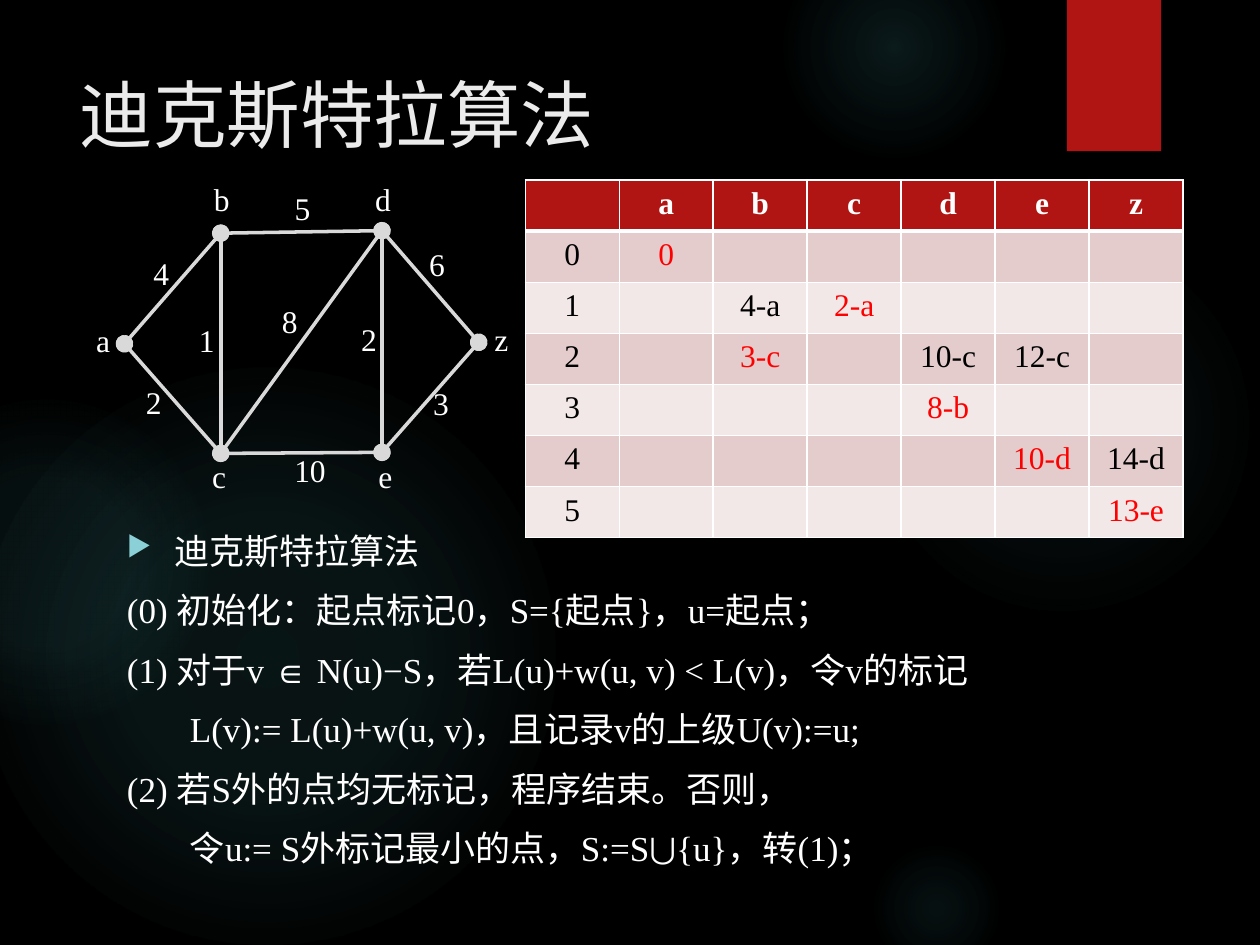
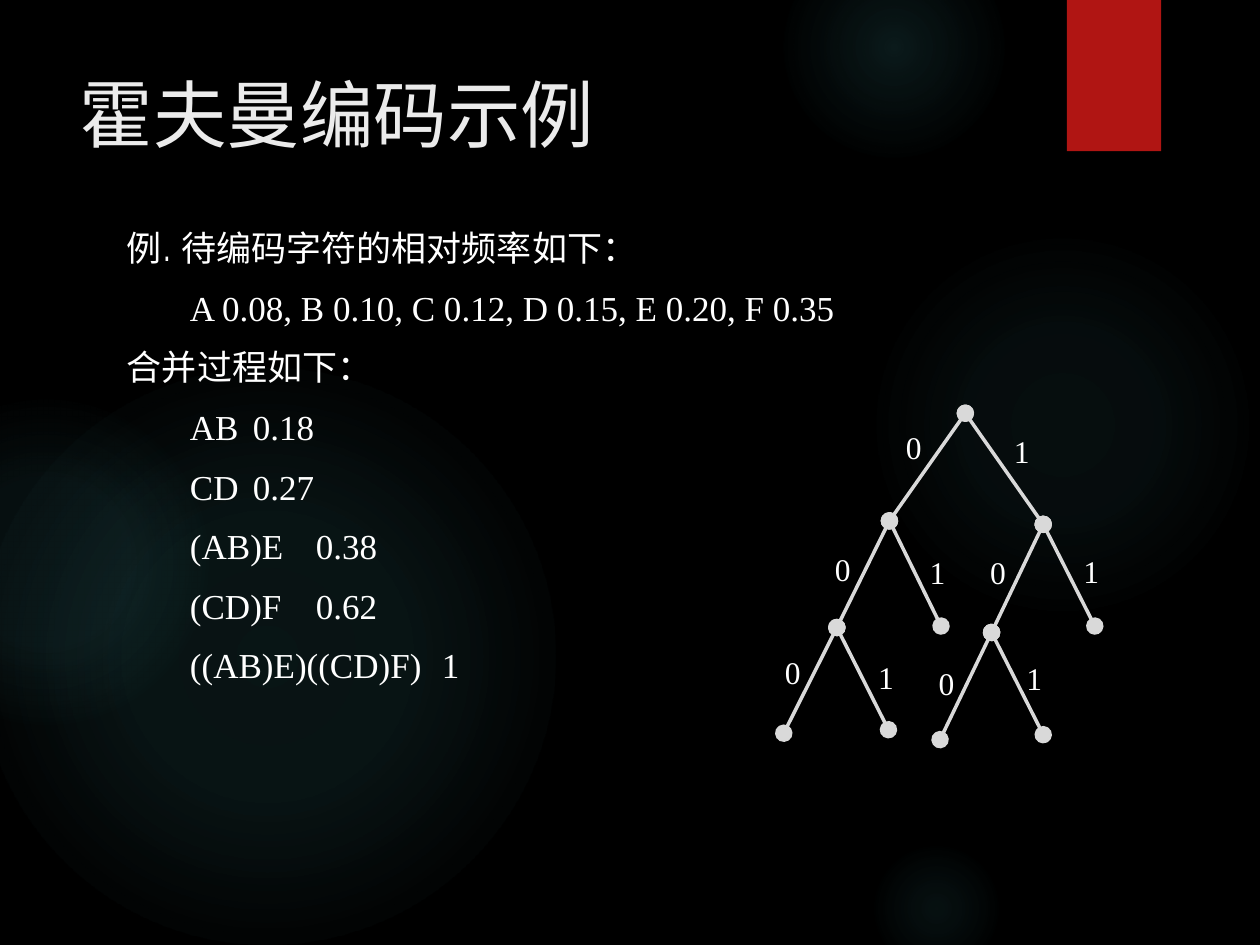
"""Build two slides on shortest paths and Huffman coding."""
from pptx import Presentation
from pptx.dml.color import RGBColor
from pptx.enum.shapes import MSO_CONNECTOR, MSO_SHAPE
from pptx.enum.text import MSO_ANCHOR, MSO_AUTO_SIZE, PP_ALIGN
from pptx.oxml import parse_xml
from pptx.oxml.ns import nsdecls
from pptx.util import Cm, Pt

STRAIGHT = MSO_CONNECTOR.STRAIGHT
OVAL, RECTANGLE = MSO_SHAPE.OVAL, MSO_SHAPE.RECTANGLE
TOP, MIDDLE = MSO_ANCHOR.TOP, MSO_ANCHOR.MIDDLE
NO_AUTOFIT = MSO_AUTO_SIZE.NONE
LEFT, CENTER = PP_ALIGN.LEFT, PP_ALIGN.CENTER
TITLE_ONLY = 5

BLACK = RGBColor(0x00, 0x00, 0x00)
WHITE = RGBColor(0xFF, 0xFF, 0xFF)
TITLE_GRAY = RGBColor(0xEB, 0xEB, 0xEB)
LINE_GRAY = RGBColor(0xD9, 0xD9, 0xD9)
BAND_RED = RGBColor(0xB0, 0x15, 0x13)
CHOSEN_RED = RGBColor(0xFF, 0x00, 0x00)
ROW_DARK = RGBColor(0xE4, 0xCC, 0xCC)
ROW_LIGHT = RGBColor(0xF2, 0xE8, 0xE7)
GLOW_TEAL = RGBColor(0x50, 0xB9, 0xC1)
BULLET_TEAL = RGBColor(0x8A, 0xD0, 0xD6)

SANS, SERIF = "TeX Gyre Adventor", "Times New Roman"
TITLE_FONT = {"size": Pt(42), "name": SANS}
LABEL_FONT = {"size": Pt(18), "name": SERIF}
TITLE_FRAME = {"auto_size": NO_AUTOFIT, "vertical_anchor": TOP, "word_wrap": True}
BODY_FRAME = {"auto_size": NO_AUTOFIT, "vertical_anchor": TOP, "word_wrap": True}
LABEL_FRAME = {"auto_size": NO_AUTOFIT, "vertical_anchor": MIDDLE, "word_wrap": False}

GLOWS = [
    (17.5, 4.65, 7.82, [(0, 7), (36, 6), (69, 0)]),
    (15.8, -1.27, 4.45, [(0, 14), (36, 7), (73, 0)]),
    (17.5, 16.94, 2.74, [(0, 9), (36, 5), (66, 0)]),
    (-0.43, 7.42, 11.63, [(0, 11), (36, 10), (75, 0)]),
    (-2.34, 8.05, 6.55, [(0, 8), (36, 8), (72, 0)]),
]

VERTICES = {
    "a": (2.51, 6.93), "b": (4.45, 4.7), "c": (4.45, 9.14),
    "d": (7.7, 4.65), "e": (7.7, 9.12), "z": (9.65, 6.9),
}
VERTEX_LABELS = {
    "a": (2.08, 6.86), "b": (4.47, 4.01), "c": (4.42, 9.6),
    "d": (7.72, 4.01), "e": (7.77, 9.6), "z": (10.11, 6.83),
}
WEIGHTED_EDGES = [
    ("bd", "5", (6.1, 4.19)), ("ce", "10", (6.25, 9.47)),
    ("ez", "3", (8.89, 8.13)), ("ab", "4", (3.25, 5.51)),
    ("ac", "2", (3.1, 8.1)), ("dz", "6", (8.81, 5.33)),
    ("bc", "1", (4.17, 6.86)), ("de", "2", (7.44, 6.83)),
    ("dc", "8", (5.84, 6.48)),
]
INNER_EDGES = {"bc", "de", "dc"}

CHOSEN_ORDER = "acbdez"
MARKS = [
    {"a": "0"},
    {"b": "4-a", "c": "2-a"},
    {"b": "3-c", "d": "10-c", "e": "12-c"},
    {"d": "8-b"},
    {"e": "10-d", "z": "14-d"},
    {"z": "13-e"},
]
DIJKSTRA_STEPS = [
    "迪克斯特拉算法",
    "(0) 初始化：起点标记0，S={起点}，u=起点；",
    "(1) 对于v ∈ N(u)−S，若L(u)+w(u, v) < L(v)，令v的标记",
    "\tL(v):= L(u)+w(u, v)，且记录v的上级U(v):=u;",
    "(2) 若S外的点均无标记，程序结束。否则，",
    "\t令u:= S外标记最小的点，S:=S⋃{u}，转(1)；",
]

ROOT = (19.46, 8.33)
TREE = {
    "0": ((17.93, 10.5), (18.42, 9.02)),
    "1": ((21.03, 10.57), (20.6, 9.09)),
    "00": ((16.87, 12.65), (16.99, 11.46)),
    "01": ((18.97, 12.62), (18.9, 11.53)),
    "10": ((19.99, 12.75), (20.12, 11.53)),
    "11": ((22.07, 12.62), (22.0, 11.51)),
    "000": ((15.8, 14.78), (15.98, 13.54)),
    "001": ((17.91, 14.71), (17.86, 13.64)),
    "100": ((18.95, 14.91), (19.08, 13.77)),
    "101": ((21.03, 14.81), (20.85, 13.67)),
}
HUFFMAN_STEPS = [
    "例. 待编码字符的相对频率如下：",
    "\tA 0.08, B 0.10, C 0.12, D 0.15, E 0.20, F 0.35",
    "合并过程如下：",
    "\tAB\t0.18",
    "\tCD\t0.27",
    "\t(AB)E\t0.38",
    "\t(CD)F\t0.62",
    "\t((AB)E)((CD)F)\t1",
]


def set_values(target, values):
    """Set each named attribute of the target."""
    for name, value in values.items():
        setattr(target, name, value)


def write(paragraph, text, font_values, color, alignment=LEFT):
    """Add one formatted run to a paragraph."""
    paragraph.alignment = alignment
    run = paragraph.add_run()
    run.text = text
    set_values(run.font, font_values)
    run.font.color.rgb = color


def add_plain_shape(slide, kind, left, top, width, height):
    """Add a shape without outline or shadow."""
    shape = slide.shapes.add_shape(kind, Cm(left), Cm(top), Cm(width), Cm(height))
    shape.line.fill.background()
    shape.shadow.inherit = False
    return shape


def add_glow(slide, left, top, diameter, stops):
    """Add a circle that fades out from its centre."""
    shape = add_plain_shape(slide, OVAL, left, top, diameter, diameter)
    stop_xml = "".join(
        f'<a:gs pos="{position * 1000}"><a:srgbClr val="{GLOW_TEAL}">'
        f'<a:alpha val="{alpha * 1000}"/></a:srgbClr></a:gs>'
        for position, alpha in stops
    )
    shape._element.spPr.insert(2, parse_xml(
        f'<a:gradFill {nsdecls("a")}><a:gsLst>{stop_xml}</a:gsLst><a:path path="circle">'
        '<a:fillToRect l="50000" t="50000" r="50000" b="50000"/></a:path></a:gradFill>'
    ))


def add_slide(presentation, title):
    """Add a slide with the shared backdrop and title."""
    slide = presentation.slides.add_slide(presentation.slide_layouts[TITLE_ONLY])
    for glow in GLOWS:
        add_glow(slide, *glow)
    band = add_plain_shape(slide, RECTANGLE, 21.51, 0, 1.9, 3.05)
    band.fill.solid()
    band.fill.fore_color.rgb = BAND_RED
    placeholder = slide.shapes.title
    set_values(placeholder, {
        "left": Cm(1.35), "top": Cm(1.27), "width": Cm(19.61), "height": Cm(3.89),
    })
    set_values(placeholder.text_frame, TITLE_FRAME)
    write(placeholder.text_frame.paragraphs[0], title, TITLE_FONT, TITLE_GRAY)
    return slide


def add_tab_stops(paragraph):
    """Set tab stops at equal steps."""
    stops = "".join(f'<a:tab pos="{Cm(1.27 * step)}" algn="l"/>' for step in range(1, 6))
    paragraph._p.get_or_add_pPr().append(
        parse_xml(f'<a:tabLst {nsdecls("a")}>{stops}</a:tabLst>')
    )


def add_bullet(paragraph):
    """Give a paragraph a hanging triangle bullet."""
    properties = paragraph._p.get_or_add_pPr()
    properties.set("marL", str(Cm(0.95)))
    properties.set("indent", str(-Cm(0.95)))
    for content in (
        f'<a:buClr {nsdecls("a")}><a:srgbClr val="{BULLET_TEAL}"/></a:buClr>',
        f'<a:buSzPct {nsdecls("a")} val="80000"/>',
        f'<a:buChar {nsdecls("a")} char="▶"/>',
    ):
        properties.append(parse_xml(content))


def add_body(slide, top, height, lines, bulleted=False):
    """Add the body text, its first line in the sans font."""
    box = slide.shapes.add_textbox(Cm(2.31), Cm(top), Cm(20.5), Cm(height))
    frame = box.text_frame
    set_values(frame, BODY_FRAME)
    for index, line in enumerate(lines):
        paragraph = frame.add_paragraph() if index else frame.paragraphs[0]
        if index:
            paragraph.space_before = Pt(10)
        elif bulleted:
            add_bullet(paragraph)
        if "\t" in line:
            add_tab_stops(paragraph)
        font_values = {"size": Pt(20), "name": SERIF if index else SANS}
        write(paragraph, line, font_values, WHITE)


def add_label(slide, text, center):
    """Add a short label around a centre point."""
    width, height = 1.22, 1.02
    x, y = center
    box = slide.shapes.add_textbox(
        Cm(x - width / 2), Cm(y - height / 2), Cm(width), Cm(height))
    set_values(box.text_frame, LABEL_FRAME)
    write(box.text_frame.paragraphs[0], text, LABEL_FONT, WHITE, CENTER)


def add_edge(slide, start, end, dotted=True):
    """Add a line, with a dot at both ends if dotted."""
    points = [Cm(value) for value in (*start, *end)]
    connector = slide.shapes.add_connector(STRAIGHT, *points)
    connector.line.color.rgb = LINE_GRAY
    connector.line.width = Pt(2)
    if dotted:
        line = connector.line._get_or_add_ln()
        for tag in ("headEnd", "tailEnd"):
            line.append(parse_xml(
                f'<a:{tag} {nsdecls("a")} type="oval" w="lg" len="lg"/>'))
    connector._element.spPr.append(parse_xml(f'<a:effectLst {nsdecls("a")}/>'))


def add_graph(slide):
    """Draw the weighted graph."""
    for edge, weight, center in WEIGHTED_EDGES:
        start, end = (VERTICES[name] for name in edge)
        add_edge(slide, start, end, edge not in INNER_EDGES)
        add_label(slide, weight, center)
    for name, center in VERTEX_LABELS.items():
        add_label(slide, name, center)


def add_tree(slide):
    """Draw the code tree, each node keyed by its code."""
    for code, (position, center) in TREE.items():
        parent = TREE[code[:-1]][0] if code[:-1] else ROOT
        add_edge(slide, parent, position)
        add_label(slide, code[-1], center)


def format_cell(cell, text, color, fill, bold=False):
    """Fill, border and write one table cell."""
    properties = cell._tc.get_or_add_tcPr()
    for side in "LRTB":
        width = Pt(3) if bold and side == "B" else Pt(1)
        properties.append(parse_xml(
            f'<a:ln{side} {nsdecls("a")} w="{width}"><a:solidFill>'
            f'<a:srgbClr val="{WHITE}"/></a:solidFill></a:ln{side}>'))
    cell.fill.solid()
    cell.fill.fore_color.rgb = fill
    if text:
        paragraph = cell.text_frame.paragraphs[0]
        write(paragraph, text, {**LABEL_FONT, "bold": bold}, color, CENTER)


def add_marks_table(slide):
    """Add the table of marks, the chosen vertex of each step in red."""
    names = list(VERTICES)
    table = slide.shapes.add_table(
        len(MARKS) + 1, len(names) + 1, Cm(10.59), Cm(3.63), Cm(13.26), Cm(7.21)).table
    for column, name in enumerate(["", *names]):
        format_cell(table.cell(0, column), name, WHITE, BAND_RED, bold=True)
    for step, marks in enumerate(MARKS):
        fill = ROW_LIGHT if step % 2 else ROW_DARK
        format_cell(table.cell(step + 1, 0), str(step), BLACK, fill)
        for column, name in enumerate(names, start=1):
            color = CHOSEN_RED if name == CHOSEN_ORDER[step] else BLACK
            format_cell(table.cell(step + 1, column), marks.get(name, ""), color, fill)


def main():
    """Build and save the presentation."""
    presentation = Presentation()
    presentation.slide_width, presentation.slide_height = Cm(25.4), Cm(19.05)
    background = presentation.slide_master.background.fill
    background.solid()
    background.fore_color.rgb = BLACK

    slide = add_slide(presentation, "迪克斯特拉算法")
    add_body(slide, 10.54, 7.09, DIJKSTRA_STEPS, bulleted=True)
    add_graph(slide)
    add_marks_table(slide)

    slide = add_slide(presentation, "霍夫曼编码示例")
    add_body(slide, 4.45, 12.9, HUFFMAN_STEPS)
    add_tree(slide)

    presentation.save("out.pptx")


if __name__ == "__main__":
    main()
